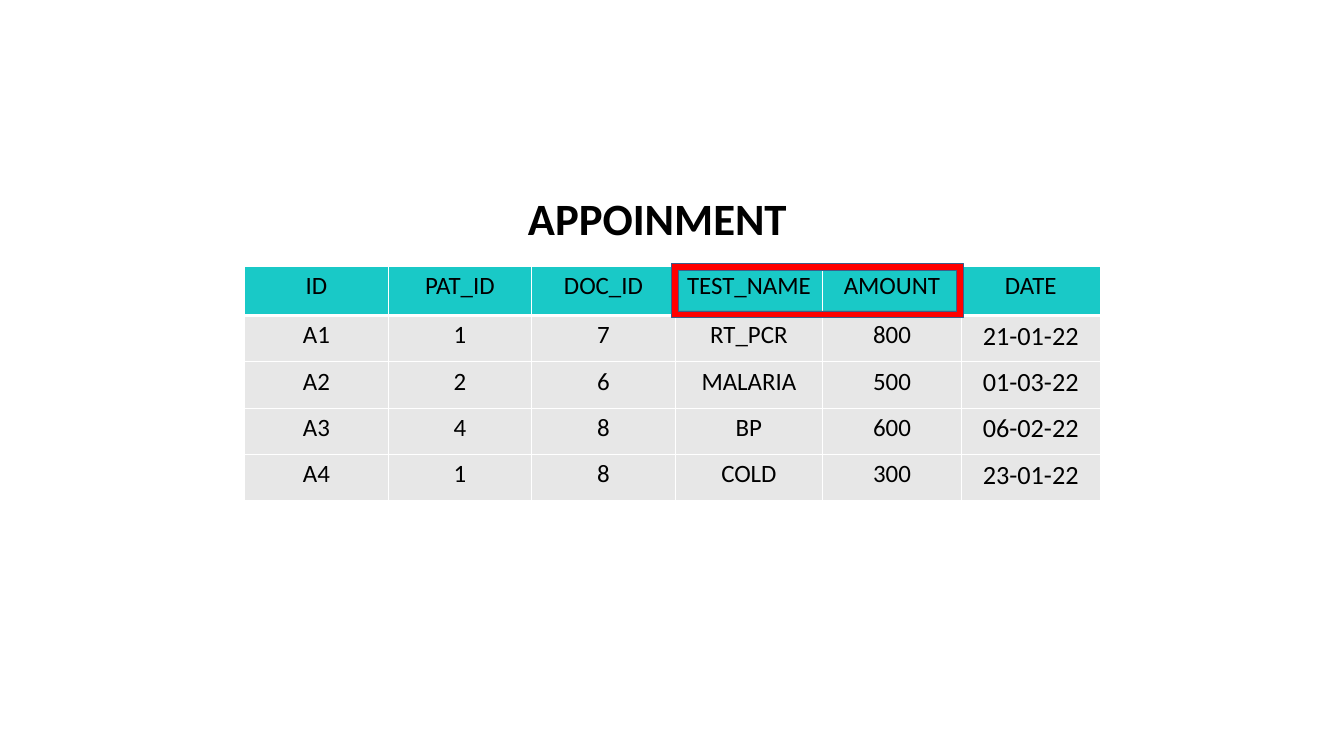
from lxml import etree
from pptx import Presentation
from pptx.dml.color import RGBColor
from pptx.enum.shapes import MSO_SHAPE
from pptx.enum.text import MSO_AUTO_SIZE, PP_ALIGN
from pptx.oxml.ns import qn
from pptx.util import Inches, Pt

FRAME = MSO_SHAPE.FRAME
CENTER = PP_ALIGN.CENTER
FIT_SHAPE = MSO_AUTO_SIZE.SHAPE_TO_FIT_TEXT

FONT = "Calibri"
BLACK, WHITE = "000000", "FFFFFF"
TEAL, GREY = "19C9C7", "E7E7E7"
RED, BLUE = "FF0000", "3A5F8C"

COLUMN_WIDTHS = [1.52, 1.52, 1.52, 1.56, 1.47, 1.47]
ROW_HEIGHTS = [0.52, 0.49, 0.49, 0.49, 0.49]
APPOINTMENTS = [
    ["ID", "PAT_ID", "DOC_ID", "TEST_NAME", "AMOUNT", "DATE"],
    ["A1", "1", "7", "RT_PCR", "800", "21-01-22"],
    ["A2", "2", "6", "MALARIA", "500", "01-03-22"],
    ["A3", "4", "8", "BP", "600", "06-02-22"],
    ["A4", "1", "8", "COLD", "300", "23-01-22"],
]


def color(hex_value):
    return RGBColor.from_string(hex_value)


def set_text(frame, text, size, bold=False):
    frame.text = text
    para = frame.paragraphs[0]
    para.alignment = CENTER
    font = para.runs[0].font
    font.name, font.size, font.bold = FONT, Pt(size), bold
    font.color.rgb = color(BLACK)


def set_borders(cell, bottom):
    """Draw white cell borders; they must come before the fill in the XML."""
    properties = cell._tc.get_or_add_tcPr()
    widths = {"a:lnL": 1, "a:lnR": 1, "a:lnT": 1, "a:lnB": bottom}
    for tag, width in widths.items():
        line = etree.SubElement(properties, qn(tag), w=str(Pt(width)))
        fill = etree.SubElement(line, qn("a:solidFill"))
        etree.SubElement(fill, qn("a:srgbClr"), val=WHITE)


def add_appointment_table(slide):
    table = slide.shapes.add_table(
        len(ROW_HEIGHTS), len(COLUMN_WIDTHS), Inches(2.59), Inches(2.82),
        Inches(sum(COLUMN_WIDTHS)), Inches(sum(ROW_HEIGHTS))).table
    for column, width in zip(table.columns, COLUMN_WIDTHS):
        column.width = Inches(width)
    for row, height in zip(table.rows, ROW_HEIGHTS):
        row.height = Inches(height)

    for row_index, values in enumerate(APPOINTMENTS):
        is_header = row_index == 0
        for column_index, value in enumerate(values):
            cell = table.cell(row_index, column_index)
            is_date = not is_header and column_index == len(values) - 1
            set_text(cell.text_frame, value, 20 if is_date else 19)
            cell.margin_left = cell.margin_right = Inches(0.11)
            cell.margin_top = cell.margin_bottom = Inches(0.05)
            set_borders(cell, bottom=3 if is_header else 1)
            cell.fill.solid()
            cell.fill.fore_color.rgb = color(TEAL if is_header else GREY)


def add_highlight(slide):
    shape = slide.shapes.add_shape(
        FRAME, Inches(7.11), Inches(2.79), Inches(3.09), Inches(0.57))
    shape.rotation = 180
    shape.shadow.inherit = False
    shape.fill.solid()
    shape.fill.fore_color.rgb = color(RED)
    shape.line.color.rgb = color(BLUE)
    shape.line.width = Pt(0.25)


def add_title(slide):
    box = slide.shapes.add_textbox(
        Inches(5.38), Inches(1.97), Inches(3.16), Inches(0.68))
    box.text_frame.word_wrap = True
    box.text_frame.auto_size = FIT_SHAPE
    set_text(box.text_frame, "APPOINMENT", 34.1, bold=True)


def main():
    deck = Presentation()
    deck.slide_width, deck.slide_height = Inches(14.23), Inches(8)
    slide = deck.slides.add_slide(deck.slide_layouts[6])

    # Table, then the frame around its two test columns, then the heading
    add_appointment_table(slide)
    add_highlight(slide)
    add_title(slide)
    deck.save("out.pptx")


if __name__ == "__main__":
    main()
